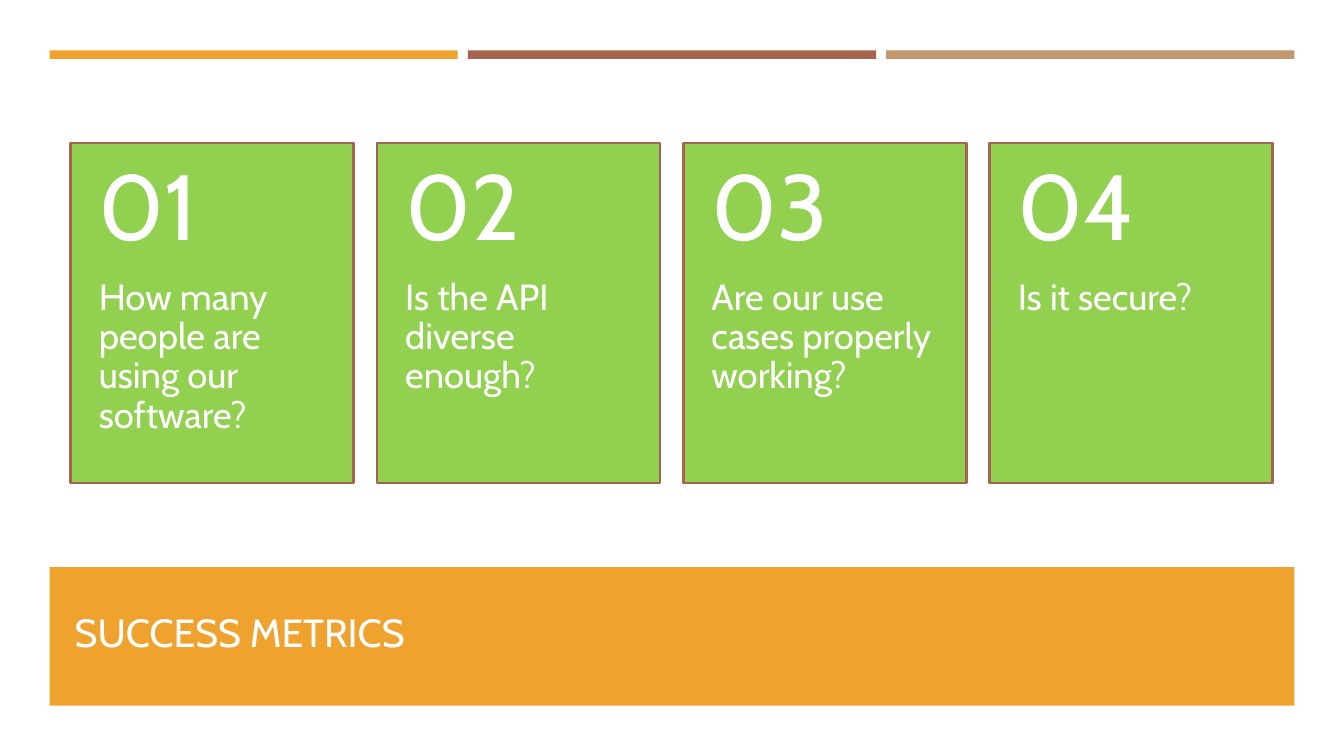
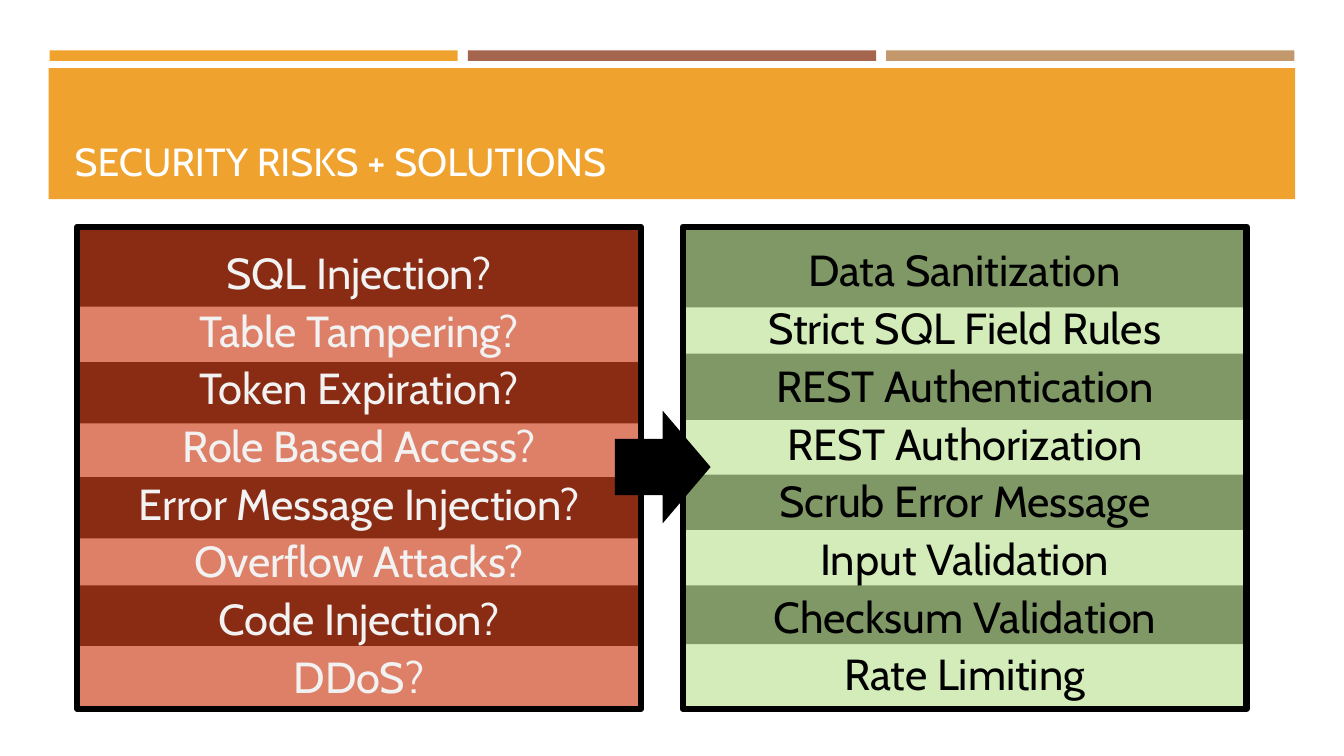
from dataclasses import dataclass

from lxml.etree import SubElement
from pptx import Presentation
from pptx.dml.color import RGBColor
from pptx.enum.shapes import MSO_SHAPE
from pptx.enum.text import MSO_ANCHOR, MSO_AUTO_SIZE, PP_ALIGN
from pptx.oxml.ns import qn
from pptx.util import Inches, Pt


@dataclass(frozen=True)
class Theme:
    font: str = "Cabin"
    orange: str = "F0A22E"
    brown: str = "A5644E"
    tan: str = "C3986D"
    green: str = "92D050"
    red: str = "CD431D"
    mint: str = "C0E399"
    white: str = "FFFFFF"
    pale: str = "F2F2F2"
    black: str = "000000"
    title_size: float = 28
    number_size: float = 66
    question_size: float = 26
    list_size: float = 31
    card_line: float = 1.75
    panel_line: float = 4.5
    panel_opacity: int = 67


theme = Theme()
COLUMNS, ROWS = 160, 90

deck = Presentation()
deck.slide_width, deck.slide_height = Inches(13.33), Inches(7.5)
column, row = deck.slide_width / COLUMNS, deck.slide_height / ROWS


def add_block(slide, area, fill, line=None, width=0, kind=MSO_SHAPE.RECTANGLE):
    left, top, wide, high = area
    block = slide.shapes.add_shape(
        kind, int(left * column), int(top * row), int(wide * column), int(high * row))
    block.shadow.inherit = False
    block.fill.solid()
    block.fill.fore_color.rgb = RGBColor.from_string(fill)
    if line:
        block.line.color.rgb = RGBColor.from_string(line)
        block.line.width = Pt(width)
    else:
        block.line.fill.background()
    return block


def write(holder, area, lines, size, color, paragraph_format, frame_format):
    left, top, wide, high = area
    position = {"left": left * column, "top": top * row,
                "width": wide * column, "height": high * row}
    for name, value in position.items():
        setattr(holder, name, int(value))
    frame = holder.text_frame
    frame.text = "\n".join(lines)
    shared = {"word_wrap": True, "auto_size": MSO_AUTO_SIZE.NONE}
    for name, value in {**shared, **frame_format}.items():
        setattr(frame, name, value)
    for paragraph in frame.paragraphs:
        for name, value in paragraph_format.items():
            setattr(paragraph, name, value)
        for name, value in {"name": theme.font, "size": Pt(size)}.items():
            setattr(paragraph.font, name, value)
        paragraph.font.color.rgb = RGBColor.from_string(color)


headings = [
    {"text": "SUCCESS METRICS", "cover": (0, 7.05, COLUMNS, ROWS - 7.05),
     "band": (5.9, 67.5, 148.2, 16.5), "area": (7.7, 69.1, 144.7, 9.5)},
    {"text": "SECURITY RISKS + SOLUTIONS", "cover": None,
     "band": (5.8, 8.1, 148.4, 15.6), "area": (7.7, 9.3, 144.7, 13.3)},
]
title_only = deck.slide_layouts[5]
for heading in headings:
    slide = deck.slides.add_slide(title_only)
    for index, color in enumerate((theme.orange, theme.brown, theme.tan)):
        add_block(slide, (5.9 + index * 49.8, 6, 48.6, 1.25), color)
    if heading["cover"]:
        add_block(slide, heading["cover"], theme.white)
    add_block(slide, heading["band"], theme.orange)
    title = slide.shapes.title
    slide.shapes.element.append(title.element)
    write(title, heading["area"], [heading["text"]], theme.title_size, theme.white,
          {"alignment": PP_ALIGN.LEFT}, {"vertical_anchor": MSO_ANCHOR.BOTTOM})

metrics_slide, security_slide = deck.slides

questions = [
    "How many people are using our software?",
    "Is the API diverse enough?",
    "Are our use cases properly working?",
    "Is it secure?",
]
card_top, card_width, card_height, number_height = 17, 33.7, 40.5, 16.2
card_paragraph = {"alignment": PP_ALIGN.LEFT, "line_spacing": 0.9}
side_margins = {"margin_left": Inches(0.28), "margin_right": Inches(0.28)}
number_frame = {**side_margins, "margin_top": Inches(0.18),
                "margin_bottom": Inches(0.18), "vertical_anchor": MSO_ANCHOR.MIDDLE}
question_frame = {**side_margins, "margin_top": 0,
                  "margin_bottom": Inches(0.36), "vertical_anchor": MSO_ANCHOR.TOP}
for index, question in enumerate(questions):
    card_left = 8.4 + index * 36.47
    add_block(metrics_slide, (card_left, card_top, card_width, card_height),
              theme.green, theme.brown, theme.card_line)
    card_parts = [
        (question, theme.question_size, card_top + number_height,
         card_height - number_height, question_frame),
        (f"{index + 1:02}", theme.number_size, card_top, number_height, number_frame),
    ]
    for words, size, top, height, frame_format in card_parts:
        write(metrics_slide.shapes.add_textbox(0, 0, 0, 0),
              (card_left, top, card_width, height), [words], size, theme.white,
              card_paragraph, frame_format)

columns = [
    {"left": 9.2, "fill": theme.red, "color": theme.pale, "list_top": 28.7,
     "stripes": [(26.9, 9.6), (43.1, 7.3), (56.8, 7.3), (69.7, 7.2)],
     "lines": ["SQL Injection?", "Table Tampering?", "Token Expiration?",
               "Role Based Access?", "Error Message Injection?",
               "Overflow Attacks?", "Code Injection?", "DDoS?"]},
    {"left": 81.3, "fill": theme.mint, "color": theme.black, "list_top": 28.4,
     "stripes": [(27, 9.6), (42.1, 7.9), (56.5, 6.6), (69.7, 7)],
     "lines": ["Data Sanitization", "Strict SQL Field Rules", "REST Authentication",
               "REST Authorization", "Scrub Error Message", "Input Validation",
               "Checksum Validation", "Rate Limiting"]},
]
panel_width = 67.1
for side in columns:
    for top, height in side["stripes"]:
        add_block(security_slide, (side["left"], top, panel_width, height), theme.black)
    panel = add_block(security_slide, (side["left"], 27, panel_width, 57.4),
                      side["fill"], theme.black, theme.panel_line)
    tint = panel.element.spPr.find(qn("a:solidFill")).find(qn("a:srgbClr"))
    SubElement(tint, qn("a:alpha"), val=str(theme.panel_opacity * 1000))

add_block(security_slide, (73.2, 48.9, 11.4, 13.4), theme.black, kind=MSO_SHAPE.RIGHT_ARROW)

for side in columns:
    write(security_slide.shapes.add_textbox(0, 0, 0, 0),
          (side["left"], side["list_top"], panel_width, 56), side["lines"],
          theme.list_size, side["color"],
          {"alignment": PP_ALIGN.CENTER, "space_after": Pt(4)},
          {"vertical_anchor": MSO_ANCHOR.TOP})

deck.save("out.pptx")
